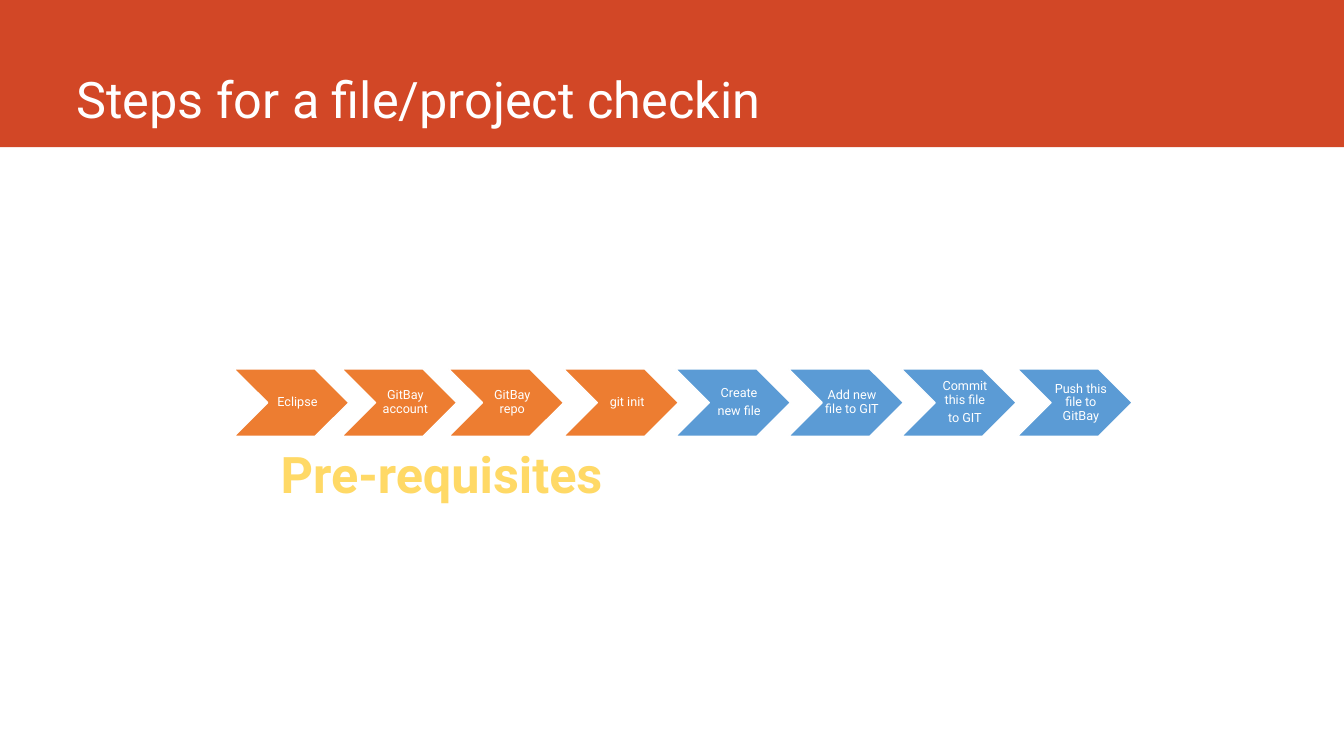
from pptx import Presentation
from pptx.dml.color import RGBColor
from pptx.enum.shapes import MSO_SHAPE
from pptx.enum.text import MSO_ANCHOR, PP_ALIGN
from pptx.util import Inches, Pt

RECT, CHEVRON = MSO_SHAPE.RECTANGLE, MSO_SHAPE.CHEVRON
LEFT, CENTER = PP_ALIGN.LEFT, PP_ALIGN.CENTER
TOP, MIDDLE, BOTTOM = MSO_ANCHOR.TOP, MSO_ANCHOR.MIDDLE, MSO_ANCHOR.BOTTOM

FONT = "Roboto"
COLORS = {
    "banner": "D24726",
    "prerequisite": "ED7D31",
    "checkin": "5B9BD5",
    "caption": "FFD966",
    "white": "FFFFFF",
}
STEP_TOP, STEP_HEIGHT = 3.66, 0.67
STEPS = [
    (2.32, "prerequisite", "Eclipse"),
    (3.39, "prerequisite", "GitBay account"),
    (4.45, "prerequisite", "GitBay repo"),
    (5.59, "prerequisite", "git init"),
    (6.70, "checkin", "Create\nnew file"),
    (7.82, "checkin", "Add new file to GIT"),
    (8.94, "checkin", "Commit this file\nto GIT"),
    (10.09, "checkin", "Push this file to GitBay"),
]


def rgb(name):
    return RGBColor.from_string(COLORS[name])


def add_block(s, kind, x, y, w, h, color):
    sp = s.shapes.add_shape(kind, Inches(x), Inches(y), Inches(w), Inches(h))
    sp.shadow.inherit = False
    sp.fill.solid()
    sp.fill.fore_color.rgb = rgb(color)
    sp.line.fill.background()
    return sp


def add_text(s, text, x, y, w, h, size, color="white", align=CENTER,
             anchor=TOP, bold=False, wrap=True):
    """Add a text box with one paragraph per line of text."""
    sp = s.shapes.add_textbox(Inches(x), Inches(y), Inches(w), Inches(h))
    tf = sp.text_frame
    tf.word_wrap = wrap
    tf.vertical_anchor = anchor
    tf.text = text
    for p in tf.paragraphs:
        p.alignment = align
        for r in p.runs:
            r.font.name = FONT
            r.font.size = Pt(size)
            r.font.bold = bold
            r.font.color.rgb = rgb(color)
    return tf


def add_step(s, x, color, label):
    sp = add_block(s, CHEVRON, x, STEP_TOP, 1.14, STEP_HEIGHT, color)
    sp.line.color.rgb = rgb("white")
    sp.line.width = Pt(1)
    tf = add_text(s, label, x + 0.04, STEP_TOP, 0.99, STEP_HEIGHT, 9,
                  anchor=MIDDLE)
    tf.margin_left = Inches(0.28)
    tf.margin_right = tf.margin_top = tf.margin_bottom = Inches(0.09)
    for p in tf.paragraphs:
        p.line_spacing = 0.9
        p.space_after = Pt(3.15)


def main():
    prs = Presentation()
    prs.slide_width, prs.slide_height = Inches(13.33), Inches(7.5)
    s = prs.slides.add_slide(prs.slide_layouts[6])

    add_block(s, RECT, 0, 0, 13.33, 1.46, "banner")
    add_text(s, "Steps for a file/project checkin", 0.66, 0, 11.76, 1.32, 36,
             align=LEFT, anchor=BOTTOM)
    for x, color, label in STEPS:
        add_step(s, x, color, label)
    add_text(s, "Pre-requisites", 2.64, 4.35, 3.48, 0.71, 36, "caption",
             bold=True, wrap=False)

    prs.save("out.pptx")


if __name__ == "__main__":
    main()
